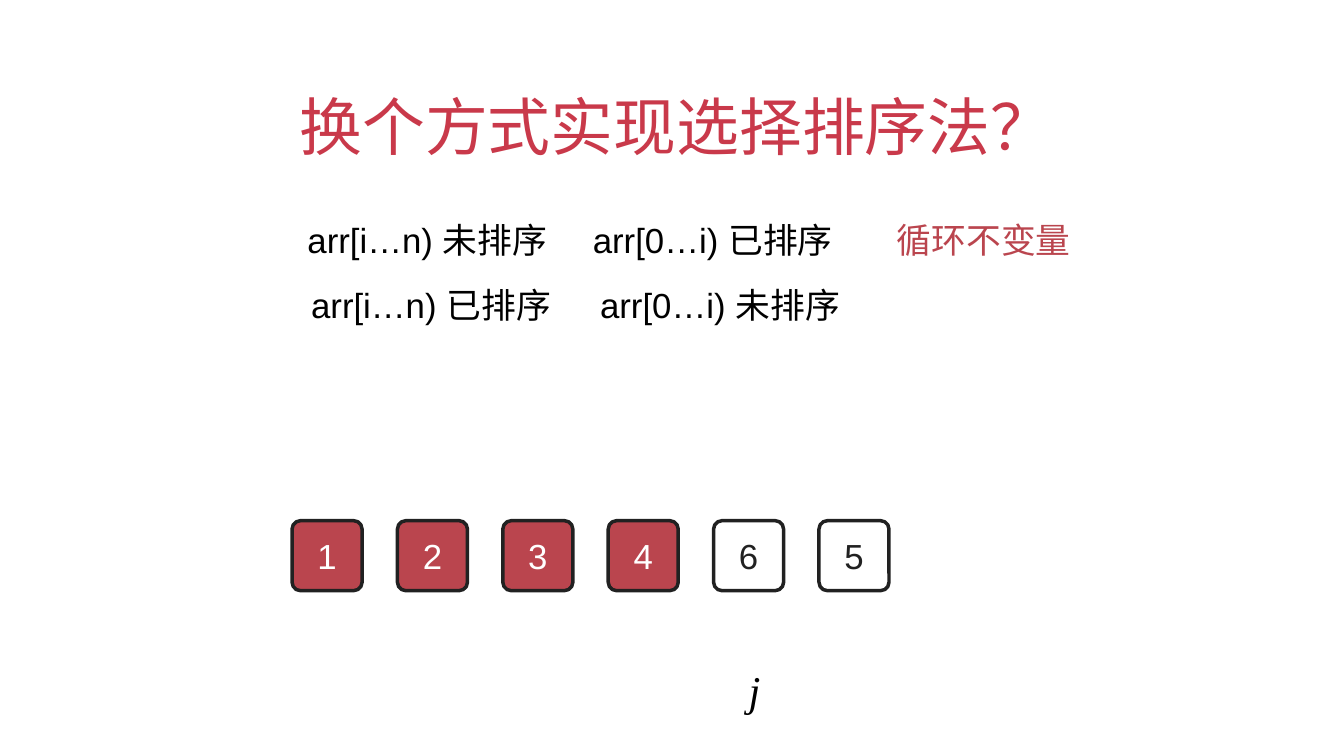
from lxml import etree
from pptx import Presentation
from pptx import util as u
from pptx.dml.color import RGBColor
from pptx.enum import shapes, text
from pptx.oxml import ns

CJK, LATIN, SERIF = "Noto Sans CJK TC", "Arial", "Times New Roman"
TITLE_RED, RED, INK, BLACK, WHITE = "C9394A", "BA454E", "212121", "000000", "FFFFFF"
BODY_SIZE = 41


def colour(value):
    """Turn a hex string into a colour."""
    return RGBColor.from_string(value)


def add_span(para, words, font, size, tint, italic=False):
    """Add one run of text to a paragraph."""
    span = para.add_run()
    span.text = words
    span.font.name = font
    span.font.size = u.Pt(size)
    span.font.italic = italic
    span.font.color.rgb = colour(tint)
    east_asian = etree.SubElement(span._r.get_or_add_rPr(), ns.qn("a:ea"))
    east_asian.set("typeface", font)


def clear_margins(frame):
    """Remove the inner margins of a text frame."""
    frame.margin_left = frame.margin_right = 0
    frame.margin_top = frame.margin_bottom = 0


def add_text_frame(page, left, top, width, height):
    """Add a wrapping text box and return its frame."""
    frame = page.shapes.add_textbox(u.Cm(left), u.Cm(top), u.Cm(width), u.Cm(height)).text_frame
    frame.word_wrap = True
    clear_margins(frame)
    return frame


def set_tabs(para, indent, stops):
    """Give a paragraph its left indent and tab stops in centimetres."""
    properties = para._p.get_or_add_pPr()
    properties.set("marL", str(u.Cm(indent)))
    tabs = etree.SubElement(properties, ns.qn("a:tabLst"))
    for stop in stops:
        etree.SubElement(tabs, ns.qn("a:tab"), pos=str(u.Cm(stop)), algn="l")


def add_title(page, left, top, width, height):
    """Write the slide title."""
    frame = add_text_frame(page, left, top, width, height)
    add_span(frame.paragraphs[0], "换个⽅式实现选择排序法？", CJK, 74, TITLE_RED)


def add_invariants(page, left, top, width, height):
    """Write the two ways to split the array."""
    frame = add_text_frame(page, left, top, width, height)
    rows = [
        (0.03, [11.86, 24.49], "未排序\t", "已排序\t", "循环不变量"),
        (0.18, [12.01], "已排序\t", "未排序", ""),
    ]
    for index, (indent, stops, tail_state, head_state, note) in enumerate(rows):
        para = frame.add_paragraph() if index else frame.paragraphs[0]
        set_tabs(para, indent, stops)
        if index:
            para.space_before = u.Pt(27)
        add_span(para, "arr[i…n) ", LATIN, BODY_SIZE, BLACK)
        add_span(para, tail_state, CJK, BODY_SIZE, BLACK)
        add_span(para, "arr[0…i) ", LATIN, BODY_SIZE, BLACK)
        add_span(para, head_state, CJK, BODY_SIZE, BLACK)
        if note:
            add_span(para, note, CJK, BODY_SIZE, RED)


def add_array(page, left, top, side, pitch, values, sorted_count):
    """Draw the array as a row of cells, the sorted ones filled."""
    for index, value in enumerate(values):
        cell = page.shapes.add_shape(
            shapes.MSO_SHAPE.ROUNDED_RECTANGLE,
            u.Cm(left + index * pitch), u.Cm(top), u.Cm(side), u.Cm(side))
        cell.adjustments[0] = 0.12
        cell.shadow.inherit = False
        cell.line.color.rgb = colour(INK)
        cell.line.width = u.Pt(4.12)
        is_sorted = index < sorted_count
        if is_sorted:
            cell.fill.solid()
            cell.fill.fore_color.rgb = colour(RED)
        else:
            cell.fill.background()
        frame = cell.text_frame
        clear_margins(frame)
        frame.vertical_anchor = text.MSO_ANCHOR.MIDDLE
        para = frame.paragraphs[0]
        para.alignment = text.PP_ALIGN.CENTER
        add_span(para, str(value), LATIN, BODY_SIZE, WHITE if is_sorted else INK)


def add_pointer(page, left, top, width, height):
    """Write the index name below the array."""
    frame = add_text_frame(page, left, top, width, height)
    add_span(frame.paragraphs[0], "j", SERIF, 50, BLACK, italic=True)


def main():
    """Build the slide and save it."""
    deck = Presentation()
    deck.slide_width, deck.slide_height = u.Cm(55.86), u.Cm(31.42)
    page = deck.slides.add_slide(deck.slide_layouts[6])
    add_title(page, 12.45, 3.65, 31.5, 3.2)
    add_invariants(page, 12.75, 9.1, 31.78, 5.49)
    add_array(page, 12.14, 21.64, 2.91, 4.38, [1, 2, 3, 4, 6, 5], 4)
    add_pointer(page, 31.12, 27.6, 0.56, 2.21)
    deck.save("out.pptx")


if __name__ == "__main__":
    main()
